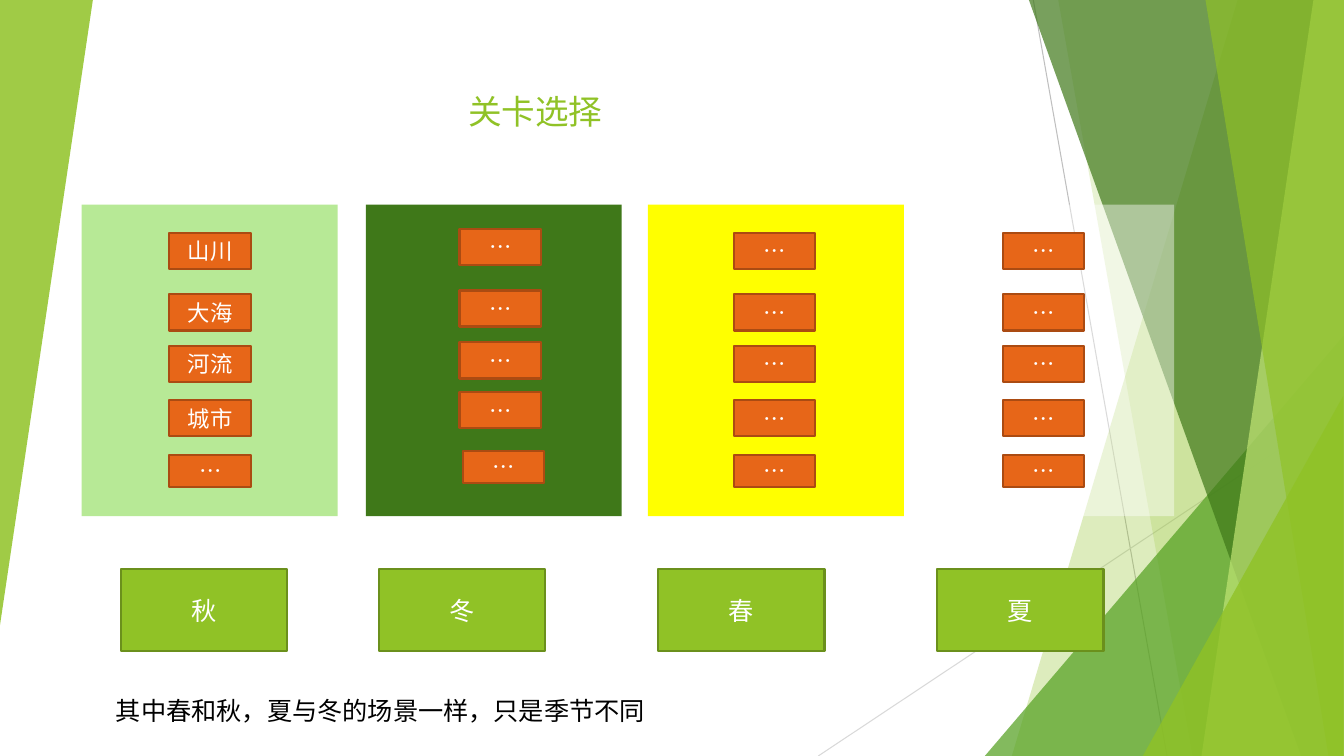
from dataclasses import dataclass

from lxml.etree import SubElement
from pptx import Presentation
from pptx.dml.color import RGBColor
from pptx.enum.shapes import MSO_CONNECTOR, MSO_SHAPE
from pptx.enum.text import MSO_ANCHOR, MSO_AUTO_SIZE, PP_ALIGN
from pptx.oxml.ns import qn
from pptx.shapes.autoshape import Shape
from pptx.slide import Slide
from pptx.text.text import TextFrame
from pptx.util import Cm, Pt

WHITE = RGBColor(0xFF, 0xFF, 0xFF)
BLACK = RGBColor(0x00, 0x00, 0x00)
GREEN = RGBColor(0x90, 0xC2, 0x26)
GREEN_EDGE = RGBColor(0x6B, 0x90, 0x1C)
LEAF = RGBColor(0x54, 0xA0, 0x21)
FOREST = RGBColor(0x3F, 0x78, 0x19)
LIME = RGBColor(0xC0, 0xE4, 0x74)
MINT = RGBColor(0xB7, 0xE9, 0x96)
YELLOW = RGBColor(0xFF, 0xFF, 0x00)
ORANGE = RGBColor(0xE7, 0x66, 0x18)
ORANGE_EDGE = RGBColor(0xAB, 0x4B, 0x12)
GREY = RGBColor(0xBF, 0xBF, 0xBF)
PALE_GREY = RGBColor(0xD9, 0xD9, 0xD9)

FONT = "Noto Sans CJK SC"
PAGE_WIDTH, PAGE_HEIGHT = 33.87, 19.05
LEVEL_TOPS = (5.87, 7.42, 8.71, 10.08, 11.46)
LEVEL_HEIGHTS = (0.91, 0.91, 0.91, 0.91, 0.81)
DOTS = ("…",) * 5


@dataclass(frozen=True)
class Area:
    left: float
    top: float
    width: float
    height: float

    def lengths(self) -> tuple[Cm, Cm, Cm, Cm]:
        return Cm(self.left), Cm(self.top), Cm(self.width), Cm(self.height)


@dataclass(frozen=True)
class Ray:
    start: tuple[float, float]
    end: tuple[float, float]
    color: RGBColor


@dataclass(frozen=True)
class Blade:
    """A band reaching the right page edge, with a slanted left side."""
    top_left: float
    bottom_left: float
    color: RGBColor
    opacity: int


@dataclass(frozen=True)
class Wedge:
    area: Area
    color: RGBColor
    opacity: int
    rotation: int = 0


@dataclass(frozen=True)
class Season:
    name: str
    panel_left: float
    level_left: float
    label_left: float
    color: RGBColor
    opacity: int = 100
    levels: tuple[str, ...] = DOTS
    # Shifts of each level button: right, down
    shifts: tuple[tuple[float, float], ...] = ((0, 0),) * 5


RAYS = (
    Ray((26.04, 0), (29.41, PAGE_HEIGHT), GREY),
    Ray((PAGE_WIDTH, 10.24), (20.62, PAGE_HEIGHT), PALE_GREY),
)
BACKDROP = (
    Blade(31.19, 25.5, GREEN, 30),
    Blade(26.67, 30.05, GREEN, 20),
    Wedge(Area(24.82, 8.46, 9.04, 10.59), LEAF, 72),
    Blade(25.93, 32.79, FOREST, 70),
    Blade(33.1, 30.28, LIME, 70),
    Blade(30.38, 33.48, GREEN, 65),
    Wedge(Area(28.8, 9.98, 5.05, 9.07), GREEN, 80),
    Wedge(Area(0, 0, 2.34, 15.75), GREEN, 85, 180),
)
SEASONS = (
    Season("秋", 2.06, 4.27, 3.05, MINT, levels=("山川", "大海", "河流", "城市", "…")),
    Season("冬", 9.22, 11.58, 9.55, FOREST,
           shifts=((0, -0.1), (0, -0.1), (0, -0.08), (0, -0.2), (0.08, -0.1))),
    Season("春", 16.33, 18.49, 16.59, YELLOW),
    Season("夏", 23.14, 25.27, 23.62, WHITE, 43),
)


def write(frame: TextFrame, text: str, size: int, color: RGBColor,
          align: PP_ALIGN = PP_ALIGN.CENTER) -> None:
    frame.text = text
    para = frame.paragraphs[0]
    para.alignment = align
    for span in para.runs:
        span.font.size = Pt(size)
        span.font.color.rgb = color
        span.font.name = FONT
        SubElement(span._r.get_or_add_rPr(), qn("a:ea"), typeface=FONT)


def paint(shape: Shape, color: RGBColor, opacity: int = 100) -> None:
    shape.shadow.inherit = False
    shape.fill.solid()
    shape.fill.fore_color.rgb = color
    if opacity < 100:
        tint = shape.element.spPr.find(qn("a:solidFill")).find(qn("a:srgbClr"))
        SubElement(tint, qn("a:alpha"), val=str(opacity * 1000))
    shape.line.fill.background()


def draw_ray(page: Slide, ray: Ray) -> None:
    line = page.shapes.add_connector(
        MSO_CONNECTOR.STRAIGHT, *map(Cm, ray.start), *map(Cm, ray.end))
    line.line.color.rgb = ray.color
    line.line.width = Pt(0.75)
    SubElement(line.element.spPr, qn("a:effectLst"))


def draw_blade(page: Slide, blade: Blade) -> None:
    corners = ((PAGE_WIDTH, 0), (PAGE_WIDTH, PAGE_HEIGHT), (blade.bottom_left, PAGE_HEIGHT))
    outline = page.shapes.build_freeform(Cm(blade.top_left), 0)
    outline.add_line_segments([(Cm(x), Cm(y)) for x, y in corners], close=True)
    paint(outline.convert_to_shape(), blade.color, blade.opacity)


def draw_wedge(page: Slide, wedge: Wedge) -> None:
    shape = page.shapes.add_shape(MSO_SHAPE.ISOSCELES_TRIANGLE, *wedge.area.lengths())
    shape.adjustments[0] = 1
    shape.rotation = wedge.rotation
    paint(shape, wedge.color, wedge.opacity)


def draw_box(page: Slide, area: Area, color: RGBColor, opacity: int = 100) -> Shape:
    box = page.shapes.add_shape(MSO_SHAPE.RECTANGLE, *area.lengths())
    paint(box, color, opacity)
    return box


def draw_button(page: Slide, area: Area, text: str, size: int,
                color: RGBColor, edge: RGBColor) -> None:
    button = draw_box(page, area, color)
    button.line.color.rgb = edge
    button.line.width = Pt(1.5)
    button.text_frame.vertical_anchor = MSO_ANCHOR.MIDDLE
    write(button.text_frame, text, size, WHITE)


def draw_season(page: Slide, season: Season) -> None:
    draw_box(page, Area(season.panel_left, 5.16, 6.45, 7.85), season.color, season.opacity)
    for text, top, height, (right, down) in zip(
            season.levels, LEVEL_TOPS, LEVEL_HEIGHTS, season.shifts):
        area = Area(season.level_left + right, top + down, 2.06, height)
        draw_button(page, area, text, 16, ORANGE, ORANGE_EDGE)


def place_title(page: Slide) -> None:
    title = page.shapes.title
    title.left, title.top, title.width, title.height = Area(3.05, 0, 20.88, 3.43).lengths()
    title.text_frame.vertical_anchor = MSO_ANCHOR.BOTTOM
    title.text_frame.auto_size = MSO_AUTO_SIZE.NONE
    write(title.text_frame, "关卡选择", 24, GREEN)
    page.shapes.element.append(title.element)


def main() -> None:
    deck = Presentation()
    deck.slide_width, deck.slide_height = Cm(PAGE_WIDTH), Cm(PAGE_HEIGHT)
    page = deck.slides.add_slide(deck.slide_layouts.get_by_name("Title Only"))

    for ray in RAYS:
        draw_ray(page, ray)
    for part in BACKDROP:
        if isinstance(part, Blade):
            draw_blade(page, part)
        else:
            draw_wedge(page, part)
    place_title(page)

    for season in SEASONS:
        draw_season(page, season)
    for season in SEASONS:
        area = Area(season.label_left, 14.35, 4.19, 2.06)
        draw_button(page, area, season.name, 18, GREEN, GREEN_EDGE)

    remark = page.shapes.add_textbox(*Area(2.67, 17.4, 16.41, 1.02).lengths()).text_frame
    remark.word_wrap = True
    remark.auto_size = MSO_AUTO_SIZE.SHAPE_TO_FIT_TEXT
    write(remark, "其中春和秋，夏与冬的场景一样，只是季节不同", 18, BLACK, PP_ALIGN.LEFT)
    deck.save("out.pptx")


if __name__ == "__main__":
    main()
